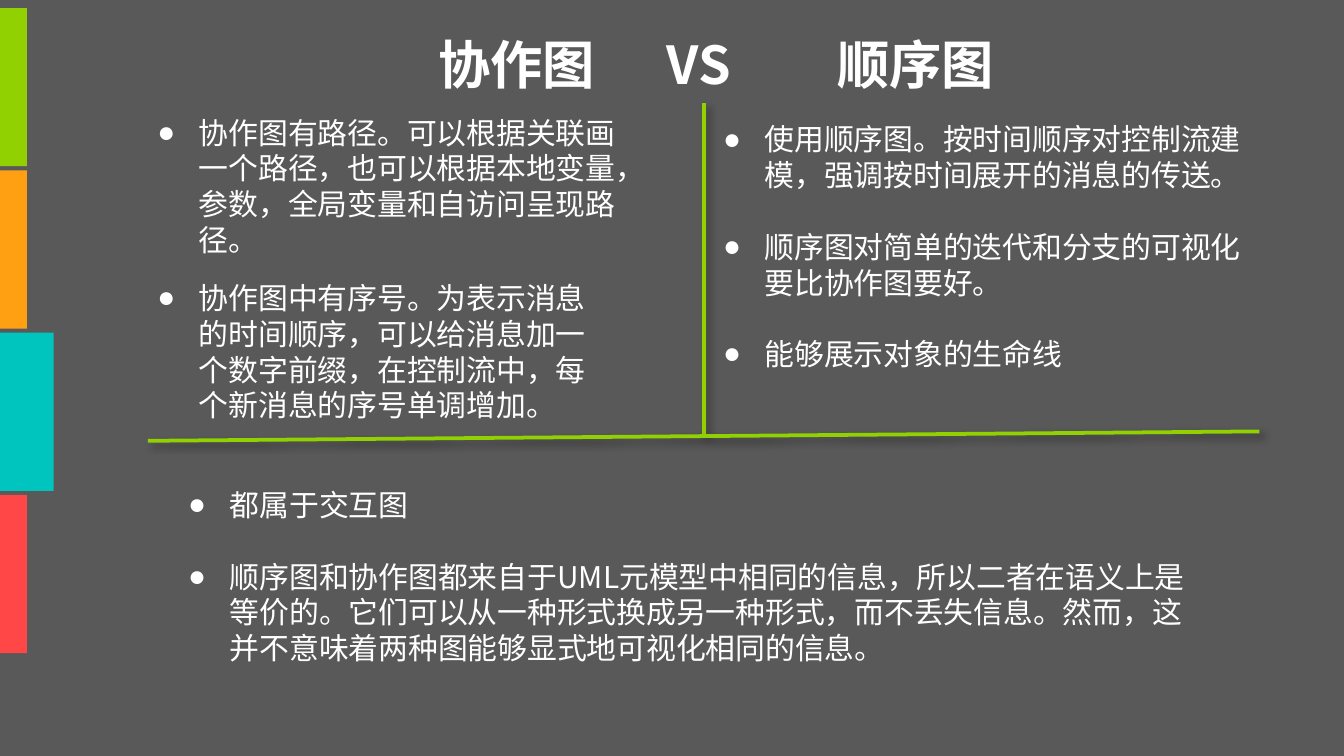
import dataclasses

import lxml.etree
import pptx
import pptx.dml.color
import pptx.enum.shapes
import pptx.enum.text
import pptx.oxml.ns
import pptx.util
from pptx.util import Inches


@dataclasses.dataclass(frozen=True)
class Theme:
    """Colours, font and type sizes of the slide."""
    background: str = "595959"
    text: str = "FFFFFF"
    rule: str = "91D101"
    tabs: tuple = ("91D101", "FFA013", "00C5BE", "FF4747")
    shadow: str = "000000"
    font: str = "Noto Sans CJK SC"
    title_size: int = 28
    body_size: int = 16
    leading: float = 1.2


THEME = Theme()


def color(value):
    """Turn a hex string into a colour."""
    return pptx.dml.color.RGBColor.from_string(value)


def add_element(parent, tag, **attributes):
    """Append a DrawingML element to a parent."""
    element = lxml.etree.SubElement(parent, pptx.oxml.ns.qn(tag))
    for name, value in attributes.items():
        element.set(name, str(value))
    return element


def place(shape, box):
    """Move a placeholder to a box and reset its text frame."""
    shape.left, shape.top, shape.width, shape.height = (Inches(length) for length in box)
    frame = shape.text_frame
    frame.word_wrap = True
    frame.auto_size = pptx.enum.text.MSO_AUTO_SIZE.NONE
    frame.vertical_anchor = pptx.enum.text.MSO_ANCHOR.TOP
    return frame


def style_paragraph(paragraph, size, bold=False, gap=0):
    """Set the font and spacing of a paragraph."""
    paragraph.alignment = pptx.enum.text.PP_ALIGN.LEFT
    paragraph.line_spacing = pptx.util.Pt(size * THEME.leading)
    paragraph.space_before = pptx.util.Pt(gap)
    font = paragraph.font
    font.name = THEME.font
    font.size = pptx.util.Pt(size)
    font.bold = bold
    font.color.rgb = color(THEME.text)
    properties = paragraph._p.get_or_add_pPr()
    add_element(properties.find(pptx.oxml.ns.qn("a:defRPr")), "a:ea", typeface=THEME.font)


def fill_title(shape, box, words, stops):
    """Write the title words at tab stops."""
    paragraph = place(shape, box).paragraphs[0]
    paragraph.text = "\t".join(words)
    tab_list = add_element(paragraph._p.get_or_add_pPr(), "a:tabLst")
    for stop in stops:
        add_element(tab_list, "a:tab", pos=Inches(stop), algn="l")
    style_paragraph(paragraph, THEME.title_size, bold=True)


def fill_list(shape, box, items):
    """Write a bulleted list with one line between items."""
    frame = place(shape, box)
    for index, item in enumerate(items):
        paragraph = frame.add_paragraph() if index else frame.paragraphs[0]
        paragraph.text = item
        properties = paragraph._p.get_or_add_pPr()
        properties.set("marL", str(Inches(0.31)))
        properties.set("indent", str(Inches(-0.31)))
        add_element(properties, "a:buChar", char="●")
        gap = THEME.body_size * THEME.leading if index else 0
        style_paragraph(paragraph, THEME.body_size, gap=gap)


def add_side_tabs(slide, box, active):
    """Stack the coloured tabs, the active one wider."""
    left, top, width, height = box
    gap = 0.03
    tab_height = (height + gap) / len(THEME.tabs) - gap
    for index, fill in enumerate(THEME.tabs):
        tab = slide.shapes.add_shape(
            pptx.enum.shapes.MSO_SHAPE.RECTANGLE, Inches(left),
            Inches(top + index * (tab_height + gap)),
            Inches(width * 2 if index == active else width), Inches(tab_height))
        tab.shadow.inherit = False
        tab.fill.solid()
        tab.fill.fore_color.rgb = color(fill)
        tab.line.fill.background()


def add_rule(slide, start, end):
    """Draw a dividing line with a soft shadow."""
    rule = slide.shapes.add_connector(
        pptx.enum.shapes.MSO_CONNECTOR.STRAIGHT,
        *(Inches(length) for length in start + end))
    rule.line.color.rgb = color(THEME.rule)
    rule.line.width = pptx.util.Pt(2)
    effects = add_element(rule._element.spPr, "a:effectLst")
    shadow = add_element(
        effects, "a:outerShdw", blurRad=pptx.util.Pt(4), dist=pptx.util.Pt(3),
        dir=45 * 60000, algn="tl", rotWithShape=0)
    shade = add_element(shadow, "a:srgbClr", val=THEME.shadow)
    add_element(shade, "a:alpha", val=40000)


def build_comparison(presentation):
    """Build the comparison of the two diagrams."""
    slide = presentation.slides.add_slide(presentation.slide_layouts.get_by_name("Comparison"))
    slide.background.fill.solid()
    slide.background.fill.fore_color.rgb = color(THEME.background)
    add_side_tabs(slide, (0, 0.06, 0.2, 4.8), active=2)
    fill_title(slide.shapes.title, (3.16, 0.19, 4.6, 0.57),
               ("协作图", "VS", "顺序图"), (1.7, 2.97))
    add_rule(slide, (5.24, 0.77), (5.24, 3.24))
    add_rule(slide, (9.37, 3.21), (1.1, 3.28))
    lists = (
        ((1.07, 0.8, 3.64, 1.18),
         ("协作图有路径。可以根据关联画一个路径，也可以根据本地变量，参数，全局变量和自访问呈现路径。",)),
        ((1.07, 2.03, 3.5, 1.18),
         ("协作图中有序号。为表示消息的时间顺序，可以给消息加一个数字前缀，在控制流中，每个新消息的序号单调增加。",)),
        ((5.28, 0.85, 4.09, 1.99),
         ("使用顺序图。按时间顺序对控制流建模，强调按时间展开的消息的传送。",
          "顺序图对简单的迭代和分支的可视化要比协作图要好。",
          "能够展示对象的生命线")),
        ((1.3, 3.57, 7.8, 1.45),
         ("都属于交互图",
          "顺序图和协作图都来自于UML元模型中相同的信息，所以二者在语义上是等价的。"
          "它们可以从一种形式换成另一种形式，而不丢失信息。"
          "然而，这并不意味着两种图能够显式地可视化相同的信息。")),
    )
    for index, (box, items) in enumerate(lists, start=1):
        fill_list(slide.placeholders[index], box, items)


def main():
    """Create and save the presentation."""
    presentation = pptx.Presentation()
    presentation.slide_width = Inches(10)
    presentation.slide_height = presentation.slide_width * 9 // 16
    build_comparison(presentation)
    presentation.save("out.pptx")


if __name__ == "__main__":
    main()
